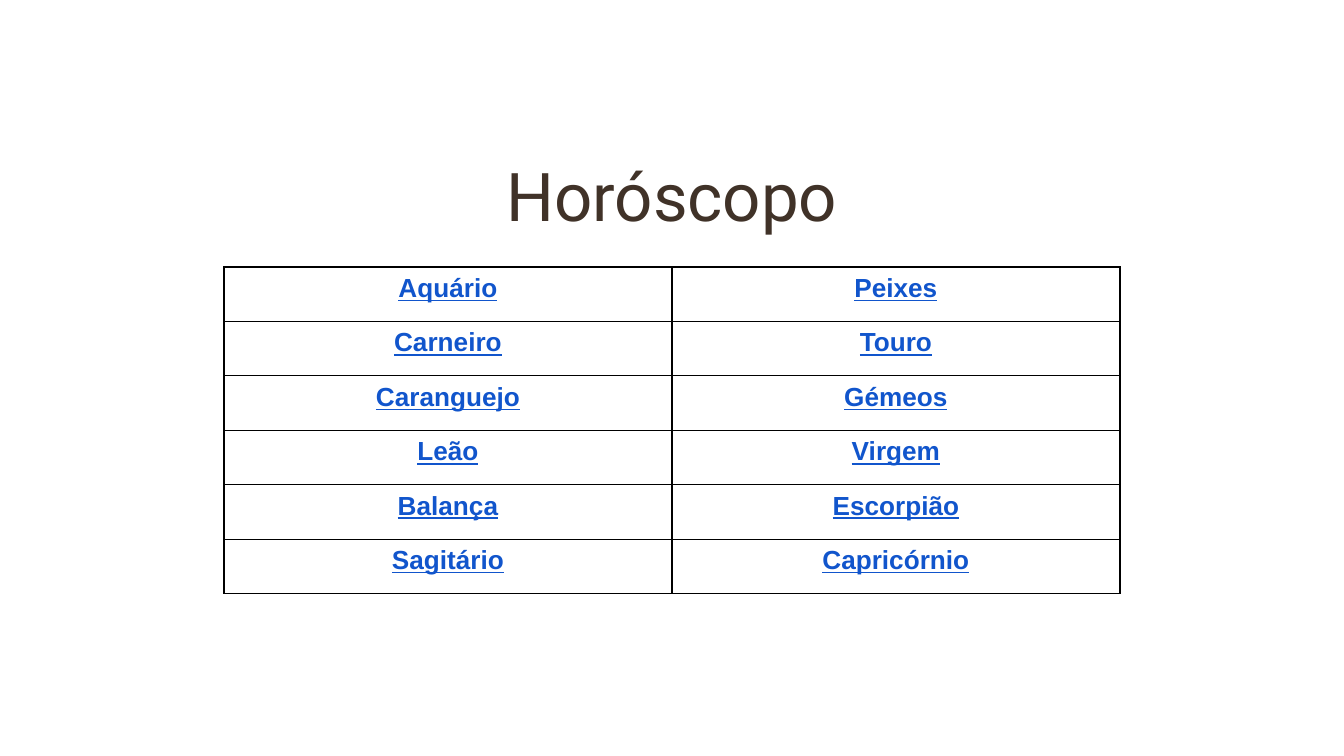
from dataclasses import dataclass

from lxml.etree import SubElement
from pptx import Presentation
from pptx.dml.color import RGBColor
from pptx.enum.text import MSO_ANCHOR, PP_ALIGN
from pptx.oxml.ns import qn
from pptx.util import Pt

EMU_PER_PX = 914400 / 134.4


@dataclass(frozen=True)
class Theme:
    background: str = "FFFFFF"
    title_color: str = "403228"
    sign_color: str = "1155CC"
    border_color: str = "000000"
    title_font: str = "Roboto"
    sign_font: str = "Arial"
    title_size: int = 36
    sign_size: int = 14
    border_width: float = 0.75


THEME = Theme()

SIGNS = [
    ("Aquário", "Peixes"),
    ("Carneiro", "Touro"),
    ("Caranguejo", "Gémeos"),
    ("Leão", "Virgem"),
    ("Balança", "Escorpião"),
    ("Sagitário", "Capricórnio"),
]


def px(n):
    return round(n * EMU_PER_PX)


def add_run(p, text, font, size, color, emphasis=False):
    p.alignment = PP_ALIGN.CENTER
    r = p.add_run()
    r.text = text
    r.font.name = font
    r.font.size = Pt(size)
    r.font.bold = emphasis
    r.font.underline = emphasis
    r.font.color.rgb = RGBColor.from_string(color)


def add_title(s, text, x, y, w, h):
    sp = s.shapes.add_textbox(px(x), px(y), px(w), px(h))
    tf = sp.text_frame
    tf.word_wrap = True
    tf.vertical_anchor = MSO_ANCHOR.MIDDLE
    tf.margin_left = tf.margin_right = tf.margin_top = tf.margin_bottom = px(13)
    add_run(tf.paragraphs[0], text, THEME.title_font, THEME.title_size, THEME.title_color)


def set_borders(cell):
    tc_pr = cell._tc.get_or_add_tcPr()
    for side in ("a:lnL", "a:lnR", "a:lnT", "a:lnB"):
        ln = SubElement(tc_pr, qn(side), w=str(Pt(THEME.border_width)))
        fill = SubElement(ln, qn("a:solidFill"))
        SubElement(fill, qn("a:srgbClr"), val=THEME.border_color)


def add_sign_table(s, signs, x, y, w, h):
    frame = s.shapes.add_table(len(signs), len(signs[0]), px(x), px(y), px(w), px(h))
    table = frame.table
    table.first_row = False
    table.horz_banding = False
    for row, names in zip(table.rows, signs):
        for cell, name in zip(row.cells, names):
            set_borders(cell)
            cell.fill.background()
            add_run(cell.text_frame.paragraphs[0], name, THEME.sign_font,
                    THEME.sign_size, THEME.sign_color, emphasis=True)


def main():
    prs = Presentation()
    prs.slide_width = px(1344)
    prs.slide_height = px(756)
    s = prs.slides.add_slide(prs.slide_layouts[6])
    s.background.fill.solid()
    s.background.fill.fore_color.rgb = RGBColor.from_string(THEME.background)
    add_title(s, "Horóscopo", 411, 109, 522, 171)
    add_sign_table(s, SIGNS, 224, 267, 896, 327)
    prs.save("out.pptx")


if __name__ == "__main__":
    main()
